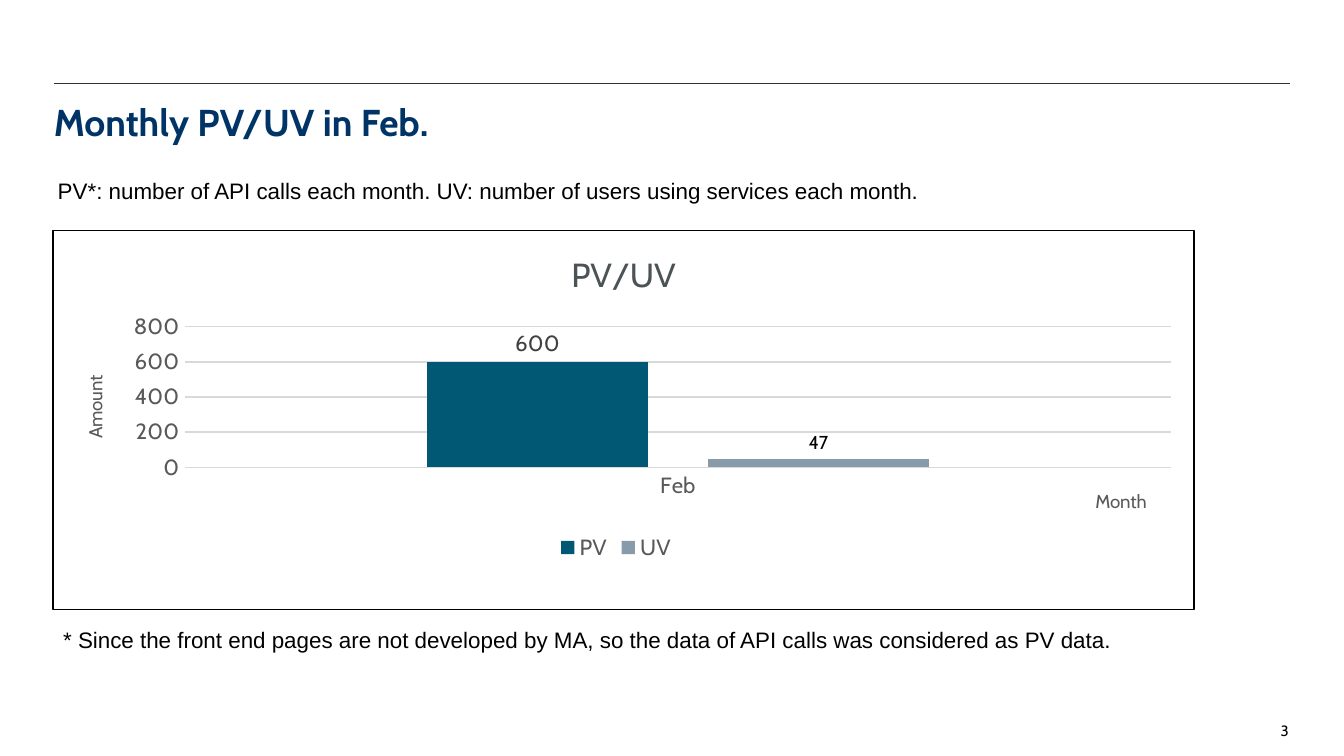
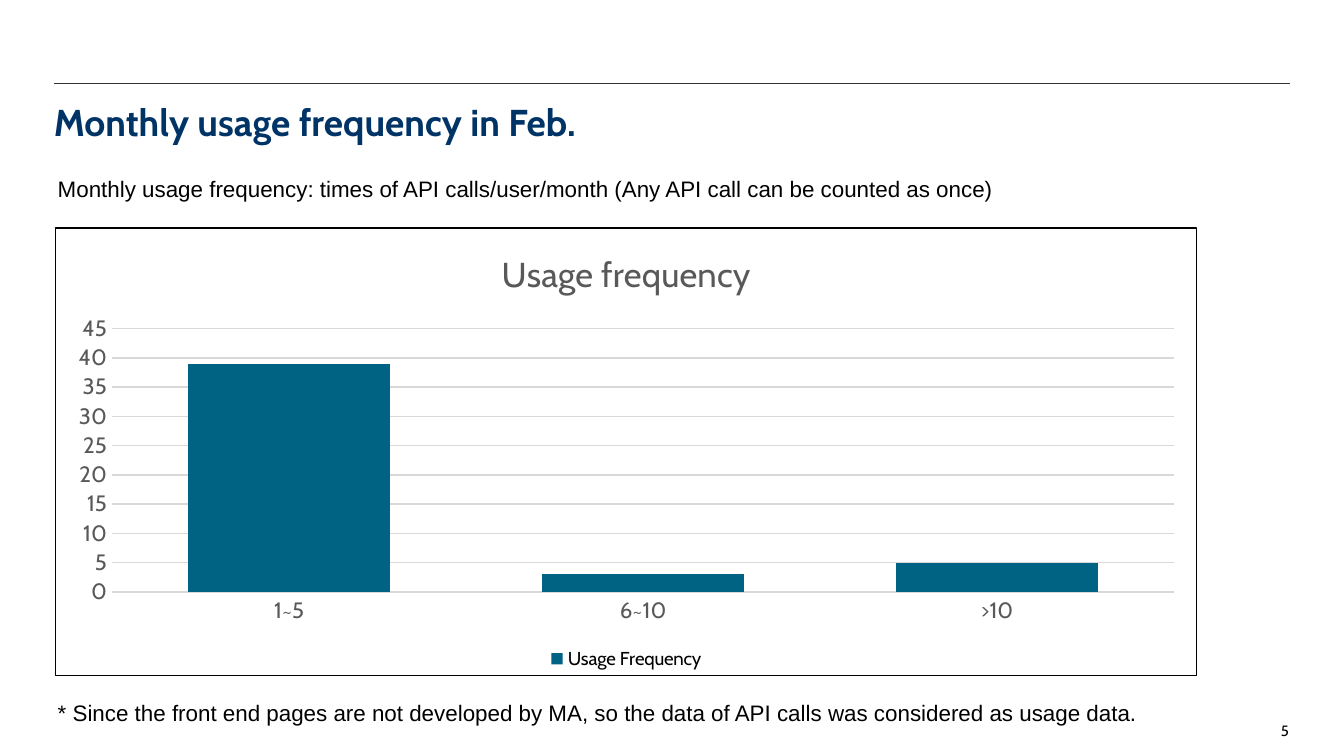
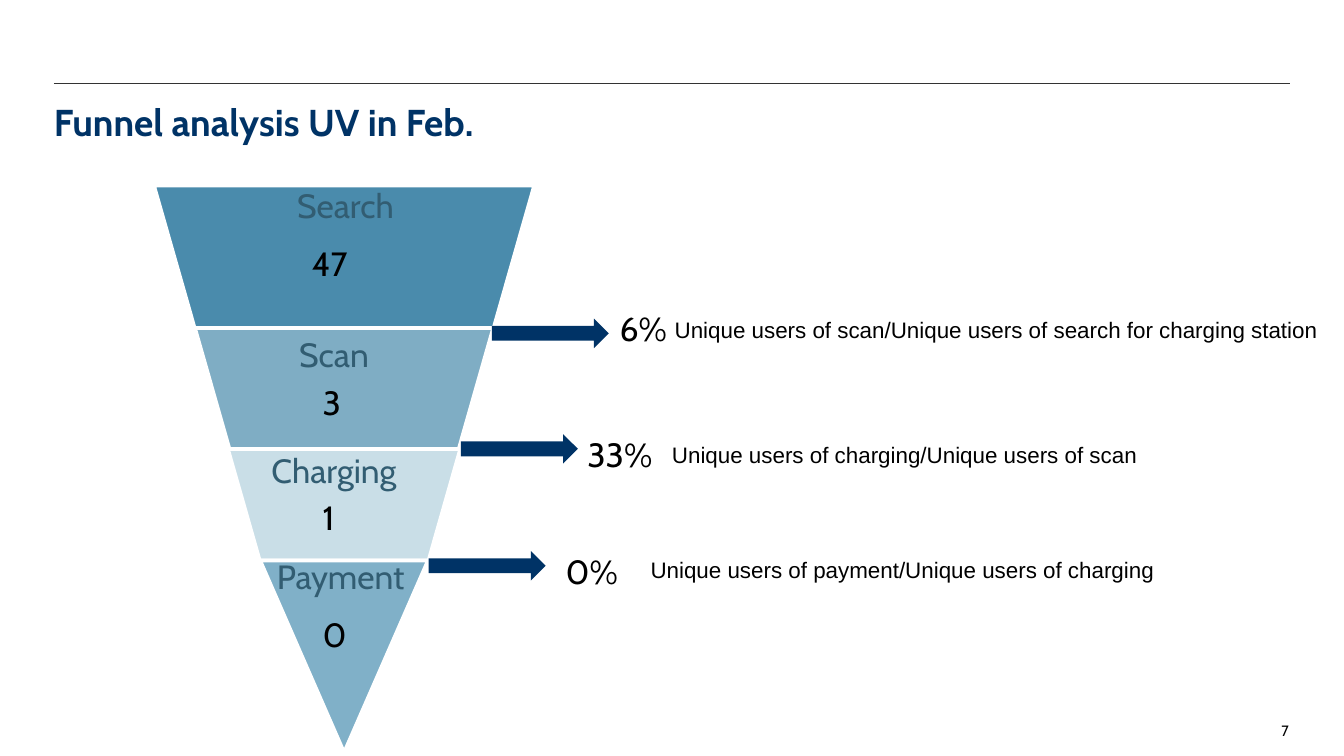
import pptx
import pptx.chart.data
import pptx.dml.color
import pptx.enum.chart
import pptx.enum.shapes
import pptx.enum.text
import pptx.oxml
import pptx.oxml.ns
import pptx.util
from pptx.util import Inches

ALIGN = pptx.enum.text.PP_ALIGN
SHAPE = pptx.enum.shapes.MSO_SHAPE
NAVY, BLACK, WHITE = "003366", "000000", "FFFFFF"
GREY, GRID, RULE, LABEL = "595959", "D9D9D9", "333333", "325D72"
HEADING_FONT, BODY_FONT = "Cabin", "Arial"

PV_UV = {
    "heading": "Monthly PV/UV in Feb.",
    "number": "3",
    "notes": [
        ("PV*: number of API calls each month. UV: number of users using services each month.",
         (0.43, 1.32, 9.06, 0.2)),
        ("* Since the front end pages are not developed by MA, so the data of API calls was considered as PV data.",
         (0.47, 4.66, 9.06, 0.2)),
    ],
    "chart": {
        "at": (0.39, 1.71, 8.5, 2.83),
        "title": ("PV/UV", 18, "4C5356"),
        "categories": ["Feb"],
        "series": [("PV", [600], "005875", (11.9, "404040")),
                   ("UV", [47], "879BAB", (10, BLACK))],
        "gap": 219, "overlap": -27, "top": 800, "step": 200,
        "legend": (11.9, GREY),
        "axis_titles": [("Month", (7.74, 1.9)), ("Amount", (0.19, 1.06))],
        "plot": (0.98, 0.72, 7.35, 1.05),
        "legend_at": (3.73, 2.23),
    },
}
FREQUENCY = {
    "heading": "Monthly usage frequency in Feb.",
    "number": "5",
    "notes": [
        ("Monthly usage frequency: times of API calls/user/month (Any API call can be counted as once)",
         (0.43, 1.3, 9.13, 0.39)),
        ("* Since the front end pages are not developed by MA, so the data of API calls was considered as usage data.",
         (0.43, 5.2, 9.06, 0.2)),
    ],
    "chart": {
        "at": (0.41, 1.69, 8.5, 3.34),
        "title": ("Usage frequency", 18.6, GREY),
        "categories": ["1~5", "6~10", ">10"],
        "series": [("Usage Frequency", [39, 3, 5], "006384", None)],
        "gap": 75, "overlap": -25, "top": 45, "step": 5,
        "legend": (10, BLACK),
    },
}
FUNNEL_TOP, FUNNEL_CENTER = 1.38, 2.56
SLANT, POINT = 0.57 / 2, 0.5
STAGES = [
    {"name": "Search", "size": (2.83, 1.06), "slant": SLANT, "fill": ("4A8BAC", 100),
     "name_at": (1.65, 1.38, 1.84, 1.06), "count": "47", "count_at": (2.32, 1.81)},
    {"name": "Scan", "size": (2.22, 0.9), "slant": SLANT, "fill": ("4A8BAC", 70),
     "name_at": (1.8, 2.49, 1.37, 0.9), "count": "3", "count_at": (2.4, 2.84)},
    {"name": "Charging", "size": (1.73, 0.83), "slant": SLANT, "fill": ("B3D0DE", 70),
     "name_at": (1.8, 3.35, 1.37, 0.8), "count": "1", "count_at": (2.4, 3.7)},
    {"name": "Payment", "size": (1.25, 1.43), "slant": POINT, "fill": ("80B0C8", 100),
     "name_at": (1.91, 4.14, 1.25, 1.37), "count": "0", "count_at": (2.4, 4.57)},
]
CONVERSIONS = [
    {"arrow": (3.66, 2.37), "rate": "6%", "rate_at": (4.61, 2.29, 0.55, 0.38), "drop": 0,
     "text": "Unique users of scan/Unique users of search for charging station",
     "text_at": (5.02, 2.35, 4.9, 0.47)},
    {"arrow": (3.43, 3.23), "rate": "33%", "rate_at": (4.37, 3.23, 0.71, 0.38), "drop": 0.28,
     "text": "Unique users of charging/Unique users of scan",
     "text_at": (5, 3, 3.54, 0.87)},
    {"arrow": (3.19, 4.1), "rate": "0%", "rate_at": (4.21, 4.1, 0.63, 0.38), "drop": 0.28,
     "text": "Unique users of payment/Unique users of charging",
     "text_at": (4.84, 3.86, 3.91, 0.32)},
]


def rgb(color):
    return pptx.dml.color.RGBColor.from_string(color)


def place(at):
    return [Inches(value) for value in at]


def style(font, size, color, name=HEADING_FONT, bold=False):
    font.size, font.name, font.bold = pptx.util.Pt(size), name, bold
    font.color.rgb = rgb(color)


def xml(markup):
    return pptx.oxml.parse_xml(markup.replace(">", " " + pptx.oxml.ns.nsdecls("a", "c") + ">", 1))


def find(element, tag):
    return element.find(".//" + pptx.oxml.ns.qn(tag))


def write(box, text, size, color=BLACK, name=HEADING_FONT, bold=False,
          align=ALIGN.LEFT, margin=0, drop=0, spacing=None):
    frame = box.text_frame
    frame.word_wrap = True
    frame.auto_size = pptx.enum.text.MSO_AUTO_SIZE.NONE
    frame.vertical_anchor = pptx.enum.text.MSO_ANCHOR.TOP
    frame.margin_left = frame.margin_right = frame.margin_bottom = Inches(margin)
    frame.margin_top = Inches(margin + drop)
    para = frame.paragraphs[0]
    para.alignment, para.line_spacing = align, spacing
    span = para.add_run()
    span.text = text
    style(span.font, size, color, name, bold)


def add_text(page, at, *args, **options):
    write(page.shapes.add_textbox(*place(at)), *args, **options)


def add_page(deck, heading, number):
    page = deck.slides.add_slide(deck.slide_layouts[5])
    rule = page.shapes.add_connector(pptx.enum.shapes.MSO_CONNECTOR.STRAIGHT,
                                     *place((0.4, 0.62, 9.6, 0.62)))
    rule.line.color.rgb, rule.line.width = rgb(RULE), pptx.util.Pt(0.75)
    find(rule.element, "p:spPr").append(xml("<a:effectLst></a:effectLst>"))
    title = page.shapes.title
    title.left, title.top, title.width, title.height = place((0.4, 0.74, 9.2, 0.56))
    write(title, heading, 20, NAVY, bold=True)
    add_text(page, (8.85, 5.37, 0.74, 0.15), number, 8, align=ALIGN.RIGHT)
    return page


def add_preset(page, kind, at, fill, opacity=100):
    shape = page.shapes.add_shape(kind, *place(at))
    shape.shadow.inherit = False
    shape.fill.solid()
    shape.fill.fore_color.rgb = rgb(fill)
    shape.line.fill.background()
    if opacity < 100:
        find(shape.element, "a:srgbClr").append(xml(f'<a:alpha val="{opacity * 1000}"></a:alpha>'))
    return shape


def set_layout(element, at, size, inner=False):
    old = element.find(pptx.oxml.ns.qn("c:layout"))
    if old is not None:
        element.remove(old)
    target = '<c:layoutTarget val="inner"/>' if inner else ""
    modes = '<c:xMode val="edge"/><c:yMode val="edge"/>'
    values = "".join(f'<c:{key} val="{value / whole:.4f}"/>'
                     for key, value, whole in zip("xywh", at, size * 2))
    layout = xml(f"<c:layout><c:manualLayout>{target}{modes}{values}</c:manualLayout></c:layout>")
    lead = [child for child in element
            if child.tag in (pptx.oxml.ns.qn("c:tx"), pptx.oxml.ns.qn("c:legendPos"))]
    element.insert(len(lead), layout)


def set_title(owner, text, size, color):
    span = owner.text_frame.paragraphs[0].add_run()
    span.text = text
    style(span.font, size, color)


def add_chart(page, info):
    data = pptx.chart.data.CategoryChartData()
    data.categories = info["categories"]
    for name, values, _, _ in info["series"]:
        data.add_series(name, values)
    chart = page.shapes.add_chart(pptx.enum.chart.XL_CHART_TYPE.COLUMN_CLUSTERED,
                                  *place(info["at"]), data).chart
    size = info["at"][2:]
    find(chart.element, "c:chart").addnext(xml(
        f'<c:spPr><a:noFill/><a:ln w="9525"><a:solidFill><a:srgbClr val="{BLACK}"/>'
        "</a:solidFill></a:ln></c:spPr>"))
    style(chart.font, 10, BLACK)
    chart.has_title = True
    set_title(chart.chart_title, *info["title"])
    chart.chart_title.include_in_layout = False
    chart.has_legend = True
    chart.legend.position = pptx.enum.chart.XL_LEGEND_POSITION.BOTTOM
    chart.legend.include_in_layout = False
    style(chart.legend.font, *info["legend"])

    axes = chart.category_axis, chart.value_axis
    for axis in axes:
        axis.major_tick_mark = axis.minor_tick_mark = pptx.enum.chart.XL_TICK_MARK.NONE
        style(axis.tick_labels.font, 11.9, GREY)
    axes[1].format.line.fill.background()
    axes[1].minimum_scale, axes[1].maximum_scale = 0, info["top"]
    axes[1].major_unit = info["step"]
    axes[1].has_major_gridlines = True
    for ruled in (axes[0], axes[1].major_gridlines):
        ruled.format.line.color.rgb = rgb(GRID)
        ruled.format.line.width = pptx.util.Pt(0.75)
    for axis, (text, at) in zip(axes, info.get("axis_titles", [])):
        set_title(axis.axis_title, text, 10, GREY)
        set_layout(axis.axis_title.element, at, size)
        if axis is axes[1]:
            find(axis.axis_title.element, "a:bodyPr").set("rot", "-5400000")

    plot = chart.plots[0]
    plot.vary_by_categories = False
    plot.gap_width, plot.overlap = info["gap"], info["overlap"]
    for series, (_, _, color, label) in zip(plot.series, info["series"]):
        series.format.fill.solid()
        series.format.fill.fore_color.rgb = rgb(color)
        if label:
            labels = series.data_labels
            labels.show_value = True
            labels.position = pptx.enum.chart.XL_LABEL_POSITION.OUTSIDE_END
            style(labels.font, *label)
    if "plot" in info:
        set_layout(find(chart.element, "c:plotArea"), info["plot"], size, inner=True)
        set_layout(find(chart.element, "c:legend"), info["legend_at"], size)


def add_chart_page(deck, content):
    page = add_page(deck, content["heading"], content["number"])
    add_chart(page, content["chart"])
    for text, at in content["notes"]:
        add_text(page, at, text, 12, name=BODY_FONT)


def add_funnel_page(deck):
    page = add_page(deck, "Funnel analysis UV in Feb.", "7")
    top = FUNNEL_TOP
    for stage in STAGES:
        width, height = stage["size"]
        band = add_preset(page, SHAPE.TRAPEZOID,
                          (FUNNEL_CENTER - width / 2, top, width, height), *stage["fill"])
        band.rotation = 180
        band.adjustments[0] = stage["slant"]
        band.line.color.rgb, band.line.width = rgb(WHITE), pptx.util.Pt(2)
        top += height
    for stage in STAGES:
        add_text(page, stage["name_at"], stage["name"], 18, LABEL,
                 align=ALIGN.CENTER, margin=0.03, spacing=0.9)
        add_text(page, (*stage["count_at"], 0.55, 0.38), stage["count"], 18)
    for step in CONVERSIONS:
        add_preset(page, SHAPE.RIGHT_ARROW, (*step["arrow"], 0.87, 0.22), NAVY)
        add_text(page, step["rate_at"], step["rate"], 18)
        add_text(page, step["text_at"], step["text"], 12, name=BODY_FONT, drop=step["drop"])


def main():
    deck = pptx.Presentation()
    deck.slide_width = Inches(10)
    deck.slide_height = deck.slide_width * 9 // 16
    add_chart_page(deck, PV_UV)
    add_chart_page(deck, FREQUENCY)
    add_funnel_page(deck)
    deck.save("out.pptx")


if __name__ == "__main__":
    main()
